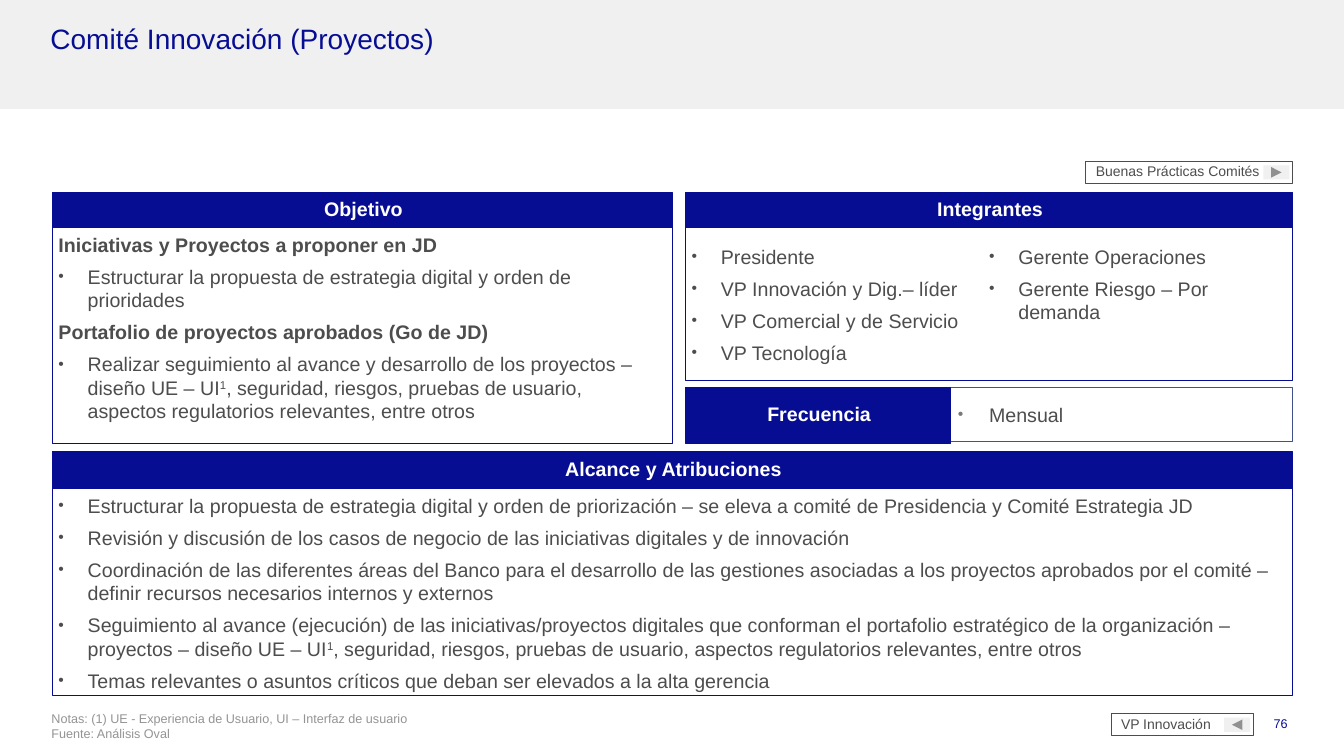
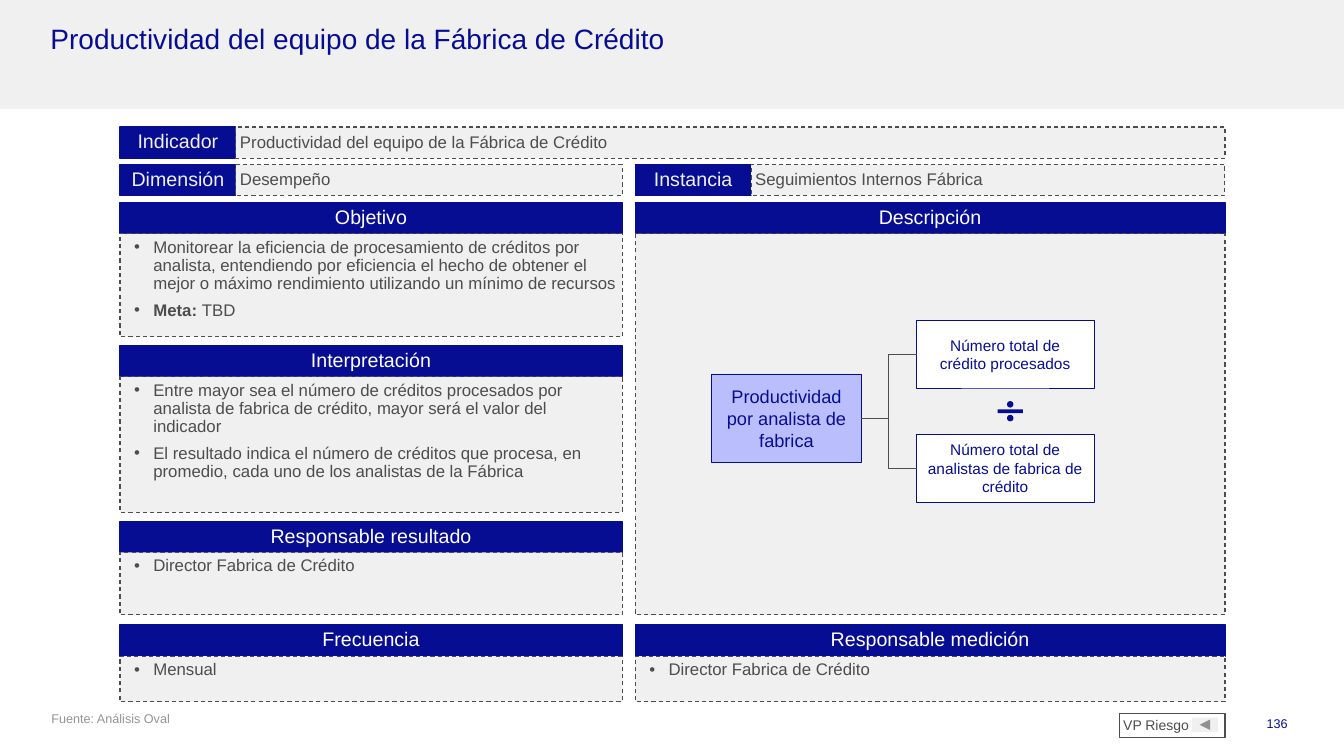
"""Build two committee and indicator slides that share one title band, footer and panel style."""
from dataclasses import dataclass, replace

from lxml.etree import SubElement
from pptx import Presentation
from pptx.dml.color import RGBColor
from pptx.enum.dml import MSO_LINE_DASH_STYLE as Dash
from pptx.enum.shapes import MSO_CONNECTOR as Connector, MSO_SHAPE as Shape
from pptx.enum.text import MSO_ANCHOR as Anchor, MSO_AUTO_SIZE as AutoSize, PP_ALIGN as Align
from pptx.oxml.ns import qn
from pptx.util import Emu, Pt

PX = 9144


@dataclass(frozen=True)
class Theme:
    font: str = "Arial"
    navy: str = "070D93"
    lilac: str = "BBBEFC"
    band: str = "F0F0F0"
    white: str = "FFFFFF"
    ink: str = "4D4D4D"
    slate: str = "42508E"
    note: str = "949494"
    bullet: str = "787878"
    title_size: int = 20
    head_size: int = 14
    root_size: int = 13
    body_size: int = 12
    leaf_size: int = 11
    button_size: int = 10
    foot_size: int = 9


THEME = Theme()


@dataclass(frozen=True)
class TextStyle:
    size: int
    color: str = THEME.ink
    bold: bool = False
    align: Align = Align.LEFT
    anchor: Anchor = Anchor.TOP
    inset: tuple = (4, 5, 4, 5)
    spacing: float = 1
    before: int = 0
    after: int = 0
    indent: int = 0
    hang: int = 0
    bullet_color: str = THEME.ink
    bullet_size: int = 100
    columns: int = 1


TITLE = TextStyle(THEME.title_size, THEME.navy, spacing=0.9)
NOTE = TextStyle(THEME.foot_size, THEME.note, inset=(4, 0, 4, 4))
NUMBER = TextStyle(THEME.foot_size, THEME.navy, align=Align.RIGHT, inset=(10, 5, 10, 5))
BUTTON = TextStyle(THEME.button_size, anchor=Anchor.MIDDLE, inset=(10, 0, 0, 0), spacing=0.9)
BOLD_HEAD = TextStyle(THEME.head_size, THEME.white, True, Align.CENTER, Anchor.MIDDLE,
                      (2, 1, 0, 1), 0.9)
BULLETS = TextStyle(THEME.head_size, inset=(6, 5, 6, 5), before=6, indent=29, hang=29,
                    bullet_size=80)
MEMBERS = replace(BULLETS, anchor=Anchor.MIDDLE, columns=2)
FREQUENCY = replace(BULLETS, anchor=Anchor.MIDDLE, inset=(8, 4, 8, 4), indent=31, hang=31,
                    bullet_color=THEME.bullet)
HEAD = TextStyle(THEME.head_size, THEME.white, align=Align.CENTER, spacing=0.9)
LABEL = replace(HEAD, color=THEME.band)
VALUE = TextStyle(THEME.body_size, anchor=Anchor.MIDDLE, spacing=0.9)
DETAIL = TextStyle(THEME.body_size, spacing=0.9, before=3, after=3, indent=29, hang=19)
LEAF = TextStyle(THEME.leaf_size, THEME.navy, align=Align.CENTER, anchor=Anchor.MIDDLE,
                 inset=(10, 5, 10, 5))
ROOT = replace(LEAF, size=THEME.root_size)

COMMITTEE = {
    "title": "Comité Innovación (Proyectos)",
    "number": "76",
    "notes": ["Notas: (1) UE - Experiencia de Usuario, UI – Interfaz de usuario",
              "Fuente: Análisis Oval"],
    "panels": [
        ("Objetivo", (52, 191, 615), 35, 214, BULLETS, [
            [("Iniciativas y Proyectos a proponer en JD", "heading")],
            "Estructurar la propuesta de estrategia digital y orden de prioridades",
            [("Portafolio de proyectos aprobados (Go de JD)", "heading")],
            [("Realizar seguimiento al avance y desarrollo de los proyectos – diseño UE – UI", ""),
             ("1", "super"),
             (", seguridad, riesgos, pruebas de usuario, aspectos regulatorios relevantes, "
              "entre otros", "")],
        ]),
        ("Integrantes", (680, 191, 602), 35, 152, MEMBERS, [
            "Presidente",
            "VP Innovación y Dig.– líder",
            "VP Comercial y de Servicio",
            "VP Tecnología",
            "Gerente Operaciones",
            "Gerente Riesgo – Por demanda",
        ]),
        ("Alcance y Atribuciones", (52, 448, 1230), 37, 205, BULLETS, [
            "Estructurar la propuesta de estrategia digital y orden de priorización – se eleva a "
            "comité de Presidencia y Comité Estrategia JD",
            "Revisión y discusión de los casos de negocio de las iniciativas digitales y de "
            "innovación",
            "Coordinación de las diferentes áreas del Banco para el desarrollo de las gestiones "
            "asociadas a los proyectos aprobados por el comité – definir recursos necesarios "
            "internos y externos",
            [("Seguimiento al avance (ejecución) de las iniciativas/proyectos digitales que "
              "conforman el portafolio estratégico de la organización – proyectos – diseño "
              "UE – UI", ""),
             ("1", "super"),
             (", seguridad, riesgos, pruebas de usuario, aspectos regulatorios relevantes, "
              "entre otros", "")],
            "Temas relevantes o asuntos críticos que deban ser elevados a la alta gerencia",
        ]),
    ],
    "frequency": ("Frecuencia", "Mensual"),
    "buttons": [("VP Innovación", (1102, 708, 141, 22), 10, 3, 180),
                ("Buenas Prácticas Comités", (1077, 160, 205, 22), 10, 3, 0)],
}

LEFT, LEFT_WIDTH = 119, 498
RIGHT, RIGHT_WIDTH = 630, 585
ROW_HEIGHT, LABEL_WIDTH = 31, 115

INDICATOR = {
    "title": "Productividad del equipo de la Fábrica de Crédito",
    "number": "136",
    "notes": ["Fuente: Análisis Oval"],
    "fields": [
        ("Indicador", "Productividad del equipo de la Fábrica de Crédito",
         LEFT, 126, RIGHT + RIGHT_WIDTH - LEFT),
        ("Dimensión", "Desempeño", LEFT, 163, LEFT_WIDTH),
        ("Instancia", "Seguimientos Internos Fábrica", RIGHT, 163, RIGHT_WIDTH),
    ],
    "panels": [
        ("Objetivo", (LEFT, 201, LEFT_WIDTH), 102, [
            "Monitorear la eficiencia de procesamiento de créditos por analista, entendiendo por "
            "eficiencia el hecho de obtener el mejor o máximo rendimiento utilizando un mínimo "
            "de recursos",
            [("Meta: ", "bold"), ("TBD", "")],
        ]),
        ("Interpretación", (LEFT, 343, LEFT_WIDTH), 134, [
            "Entre mayor sea el número de créditos procesados por analista de fabrica de crédito, "
            "mayor será el valor del indicador",
            "El resultado indica el número de créditos que procesa, en promedio, cada uno de los "
            "analistas de la Fábrica",
        ]),
        ("Responsable resultado", (LEFT, 517, LEFT_WIDTH), 62, ["Director Fabrica de Crédito"]),
        ("Frecuencia", (LEFT, 620, LEFT_WIDTH), 45, ["Mensual"]),
        ("Descripción", (RIGHT, 201, RIGHT_WIDTH), 378, []),
        ("Responsable medición", (RIGHT, 620, RIGHT_WIDTH), 45, ["Director Fabrica de Crédito"]),
    ],
    "root": "Productividad por analista de fabrica",
    "leaves": [("Número total de crédito procesados", 318),
               ("Número total de analistas de fabrica de crédito", 431)],
    "buttons": [("VP Riesgo", (1110, 708, 105, 24), 4, 7, 180)],
}


def place(*lengths):
    return [Emu(length * PX) for length in lengths]


def add_bullet(para, style):
    props = para._p.get_or_add_pPr()
    props.set("marL", str(style.indent * PX))
    props.set("indent", str(-style.hang * PX))
    SubElement(SubElement(props, qn("a:buClr")), qn("a:srgbClr"), val=style.bullet_color)
    SubElement(props, qn("a:buSzPct"), val=str(style.bullet_size * 1000))
    SubElement(props, qn("a:buFont"), typeface=THEME.font)
    SubElement(props, qn("a:buChar"), char="•")


def write(shape, items, style):
    frame = shape.text_frame
    frame.word_wrap = True
    frame.auto_size = AutoSize.NONE
    frame.vertical_anchor = style.anchor
    (frame.margin_left, frame.margin_top,
     frame.margin_right, frame.margin_bottom) = place(*style.inset)
    if style.columns > 1:
        shape.element.find(".//" + qn("a:bodyPr")).set("numCol", str(style.columns))
    for index, item in enumerate(items):
        para = frame.add_paragraph() if index else frame.paragraphs[0]
        parts = [(item, "")] if isinstance(item, str) else item
        if style.hang and parts[0][1] != "heading":
            add_bullet(para, style)
        para.alignment = style.align
        para.line_spacing = style.spacing
        para.space_before = Pt(style.before if index else 0)
        para.space_after = Pt(style.after)
        for text, mark in parts:
            span = para.add_run()
            span.text = text
            span.font.name = THEME.font
            span.font.size = Pt(style.size)
            span.font.bold = style.bold or mark in ("bold", "heading")
            span.font.color.rgb = RGBColor.from_string(style.color)
            if mark == "super":
                span._r.get_or_add_rPr().set("baseline", "30000")


def add_box(page, bounds, fill=None, line=None, width=0.75, dash=None, kind=Shape.RECTANGLE,
            items=(), style=None):
    box = page.shapes.add_shape(kind, *place(*bounds))
    box.shadow.inherit = False
    if fill:
        box.fill.solid()
        box.fill.fore_color.rgb = RGBColor.from_string(fill)
    else:
        box.fill.background()
    if line:
        box.line.color.rgb = RGBColor.from_string(line)
        box.line.width = Pt(width)
        if dash:
            box.line.dash_style = dash
    else:
        box.line.fill.background()
    if items:
        write(box, items, style)
    return box


def add_dashed(page, bounds, items, style):
    add_box(page, bounds, THEME.band, THEME.ink, dash=Dash.DASH, items=items, style=style)


def add_button(page, label, bounds, inset, gap, rotation):
    x, y, width, _ = bounds
    add_box(page, bounds, line=THEME.ink, items=[label],
            style=replace(BUTTON, inset=(inset, 0, 0, 0)))
    arrow = add_box(page, (x + width - gap - 26, y + 4, 26, 14), THEME.band,
                    kind=Shape.ACTION_BUTTON_FORWARD_OR_NEXT)
    arrow.rotation = rotation


def add_page(deck, layout, content):
    page = deck.slides.add_slide(layout)
    title = page.shapes.title
    title.left, title.top, title.width, title.height = place(46, 20, 1240, 69)
    write(title, [content["title"]], TITLE)
    for bounds, items, style in (((47, 705, 1102, 40), content["notes"], NOTE),
                                 ((1176, 705, 111, 40), [content["number"]], NUMBER)):
        write(page.shapes.add_textbox(*place(*bounds)), items, style)
    for button in content["buttons"]:
        add_button(page, *button)
    return page


def fill_committee(page):
    for head, (x, y, width), head_height, height, style, items in COMMITTEE["panels"]:
        add_box(page, (x, y, width, head_height), THEME.navy, THEME.navy, 0.5,
                items=[head], style=BOLD_HEAD)
        add_box(page, (x, y + head_height, width, height), line=THEME.navy,
                items=items, style=style)
    label, value = COMMITTEE["frequency"]
    add_box(page, (942, 384, 340, 54), THEME.white, THEME.slate, 0.5,
            items=[value], style=FREQUENCY)
    add_box(page, (680, 384, 263, 56), THEME.navy, THEME.navy, 0.5,
            items=[label], style=BOLD_HEAD)


def fill_indicator(page):
    for label, value, x, y, width in INDICATOR["fields"]:
        add_box(page, (x, y, LABEL_WIDTH, ROW_HEIGHT), THEME.navy, THEME.navy,
                items=[label], style=LABEL)
        add_dashed(page, (x + LABEL_WIDTH, y, width - LABEL_WIDTH, ROW_HEIGHT), [value], VALUE)
    for head, (x, y, width), height, items in INDICATOR["panels"]:
        add_box(page, (x, y, width, ROW_HEIGHT), THEME.navy, THEME.navy,
                items=[head], style=HEAD)
        add_dashed(page, (x, y + ROW_HEIGHT, width, height), items, DETAIL)
    root = add_box(page, (706, 371, 148, 88), THEME.lilac, THEME.navy, 0.5,
                   items=[INDICATOR["root"]], style=ROOT)
    for text, y in INDICATOR["leaves"]:
        leaf = add_box(page, (909, y, 176, 67), THEME.white, THEME.navy, 0.5,
                       items=[text], style=LEAF)
        link = page.shapes.add_connector(Connector.ELBOW, 0, 0, 0, 0)
        link.begin_connect(root, 3)
        link.end_connect(leaf, 1)
        link.line.color.rgb = RGBColor.from_string(THEME.ink)
        link.line.width = Pt(0.5)
        SubElement(link.element.spPr, qn("a:effectLst"))
    divide = add_box(page, (985, 390, 34, 36), THEME.navy, kind=Shape.MATH_DIVIDE)
    for index, ratio in enumerate((0.1, 0.05, 0.09)):
        divide.adjustments[index] = ratio


def main():
    deck = Presentation()
    deck.slide_width, deck.slide_height = place(1333, 750)
    layout = deck.slide_layouts[5]
    committee = add_page(deck, layout, COMMITTEE)
    band = add_box(committee, (0, 0, 1333, 108), THEME.band)
    layout.shapes.element.insert(2, band.element)
    fill_committee(committee)
    fill_indicator(add_page(deck, layout, INDICATOR))
    deck.save("out.pptx")


if __name__ == "__main__":
    main()
